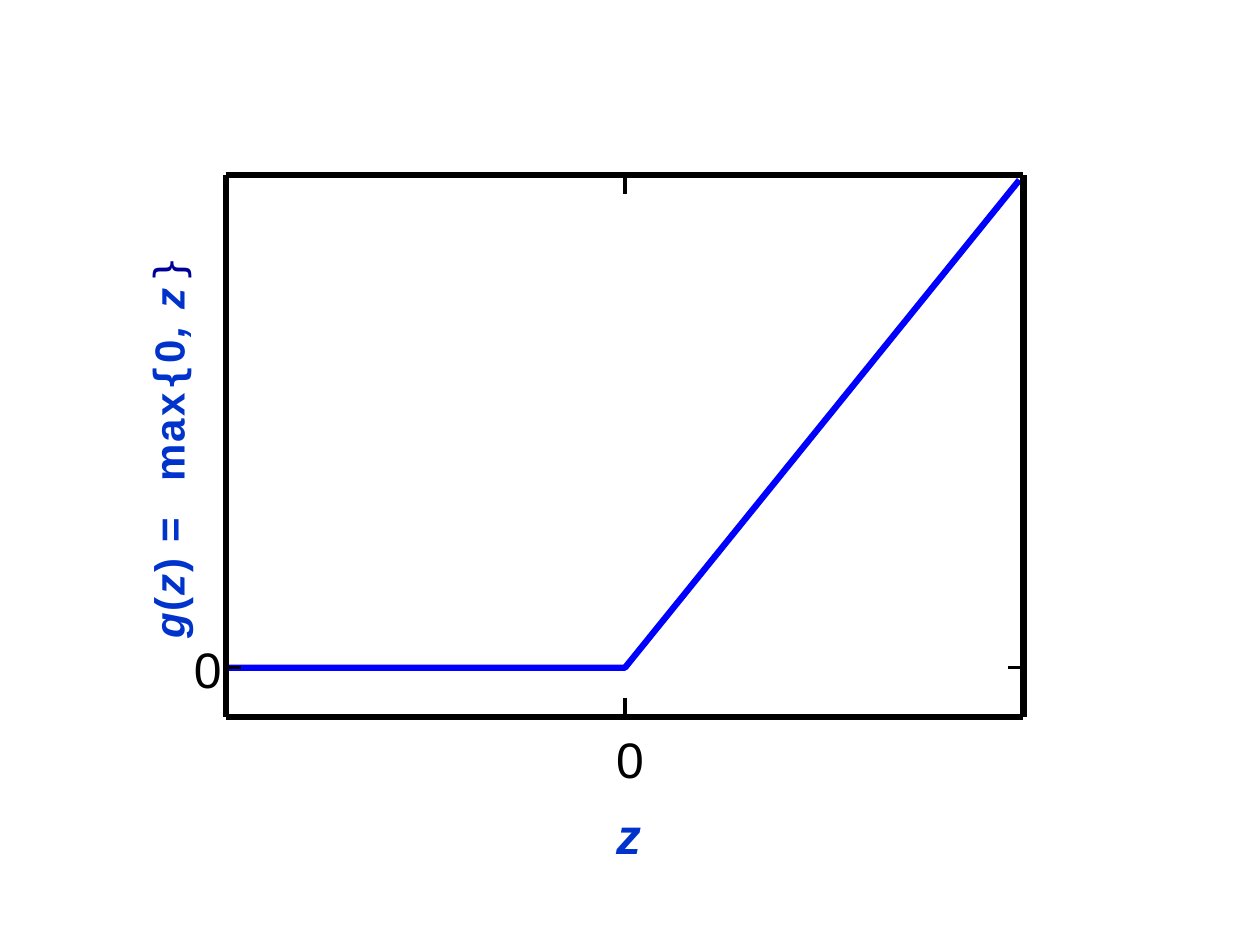
"""Build a slide that plots the rectified linear function g(z) = max{0, z}."""
from dataclasses import dataclass

from lxml.etree import SubElement
from pptx import Presentation
from pptx.dml.color import RGBColor
from pptx.enum.shapes import MSO_CONNECTOR
from pptx.oxml.ns import qn
from pptx.util import Cm, Pt

BLACK = RGBColor(0x00, 0x00, 0x00)
CURVE_BLUE = RGBColor(0x00, 0x00, 0xFF)
LABEL_BLUE = RGBColor(0x00, 0x33, 0xCC)
BRACE_BLUE = RGBColor(0x00, 0x00, 0x99)
SANS, MONO = "Arial", "DejaVu Sans Mono"

LEFT, RIGHT, TOP, BOTTOM = 4.55, 20.63, 3.53, 14.45
ZERO_X, ZERO_Y = 12.6, 13.46
TICK_HEIGHT, TICK_WIDTH = 0.38, 0.3
FRAME_WEIGHT, TICK_WEIGHT = 3.59, 1.79


@dataclass(frozen=True)
class Stroke:
    x1: float
    y1: float
    x2: float
    y2: float
    weight: float


@dataclass(frozen=True)
class Piece:
    text: str
    spacing: float
    italic: bool = False
    bold: bool = True
    font: str = SANS
    color: RGBColor = LABEL_BLUE


FRAME = [
    Stroke(LEFT, TOP, RIGHT, TOP, FRAME_WEIGHT),
    Stroke(RIGHT, BOTTOM, RIGHT, TOP, FRAME_WEIGHT),
    Stroke(LEFT, BOTTOM, RIGHT, BOTTOM, FRAME_WEIGHT),
    Stroke(LEFT, BOTTOM, LEFT, TOP, FRAME_WEIGHT),
]
TICKS = [
    Stroke(ZERO_X, BOTTOM, ZERO_X, BOTTOM - TICK_HEIGHT, TICK_WEIGHT),
    Stroke(ZERO_X, TOP, ZERO_X, TOP + TICK_HEIGHT, TICK_WEIGHT),
    Stroke(LEFT, ZERO_Y, LEFT + TICK_WIDTH, ZERO_Y, TICK_WEIGHT),
    Stroke(RIGHT, ZERO_Y, RIGHT - TICK_WIDTH, ZERO_Y, TICK_WEIGHT),
]
ZERO = Piece("0", -0.7, bold=False, color=BLACK)
FORMULA = [
    Piece("g", 1.2, italic=True),
    Piece("(", 1.2),
    Piece("z", 1.2, italic=True),
    Piece(") ", 1.2),
    Piece("= ", 6.9),
    Piece("max", 1.3),
    Piece("{", 1.3, font=MONO),
    Piece("0", 1.3),
    Piece(", ", 1.3, italic=True),
    Piece("z", 3.4, italic=True),
    Piece("}", 3.4, bold=False, font=MONO, color=BRACE_BLUE),
]


def draw_stroke(page, stroke: Stroke) -> None:
    line = page.shapes.add_connector(
        MSO_CONNECTOR.STRAIGHT,
        Cm(stroke.x1), Cm(stroke.y1), Cm(stroke.x2), Cm(stroke.y2),
    )
    line.line.color.rgb = BLACK
    line.line.width = Pt(stroke.weight)
    SubElement(line._element.spPr, qn("a:effectLst"))


def draw_curve(page, points: list[tuple[float, float]]) -> None:
    start, *rest = [(Cm(x), Cm(y)) for x, y in points]
    builder = page.shapes.build_freeform(*start)
    builder.add_line_segments(rest, close=False)
    curve = builder.convert_to_shape()
    curve.shadow.inherit = False
    curve.fill.background()
    curve.line.color.rgb = CURVE_BLUE
    curve.line.width = Pt(FRAME_WEIGHT)


def add_box(page, left: float, top: float, width: float, height: float,
            inset: float = 0):
    box = page.shapes.add_textbox(Cm(left), Cm(top), Cm(width), Cm(height))
    frame = box.text_frame
    frame.word_wrap = True
    frame.margin_left = frame.margin_right = frame.margin_bottom = 0
    frame.margin_top = Cm(inset)
    return frame


def write(para, pieces: list[Piece], size: float, before: float = 0) -> None:
    para.space_before = Pt(before)
    para.font.size = Pt(size)
    for piece in pieces:
        span = para.add_run()
        span.text = piece.text
        span.font.size = Pt(size)
        span.font.name = piece.font
        span.font.bold = piece.bold
        span.font.italic = piece.italic
        span.font.color.rgb = piece.color
        span._r.get_or_add_rPr().set("spc", str(round(piece.spacing * 100)))


def main() -> None:
    deck = Presentation()
    deck.slide_width, deck.slide_height = Cm(25.4), Cm(19.05)
    page = deck.slides.add_slide(deck.slide_layouts[6])

    draw_curve(page, [(LEFT, ZERO_Y), (ZERO_X, ZERO_Y), (20.55, 3.63)])
    for stroke in FRAME + TICKS:
        draw_stroke(page, stroke)

    x_labels = add_box(page, 12.42, 14.33, 0.6, 3.12, inset=0.36)
    write(x_labels.paragraphs[0], [ZERO], 28.5, before=10.1)
    write(x_labels.add_paragraph(), [Piece("z", -0.1, italic=True)], 28.5, before=9.2)

    y_zero = add_box(page, 3.91, 12.85, 0.6, 0.97, inset=0.03)
    write(y_zero.paragraphs[0], [ZERO], 28.5, before=1.1)

    y_title = add_box(page, 2.87, 4.93, 1.04, 7.95)
    y_title._txBody.bodyPr.set("vert", "vert270")
    y_title.paragraphs[0].line_spacing = Pt(28.9)
    write(y_title.paragraphs[0], FORMULA, 24)

    deck.save("out.pptx")


if __name__ == "__main__":
    main()
